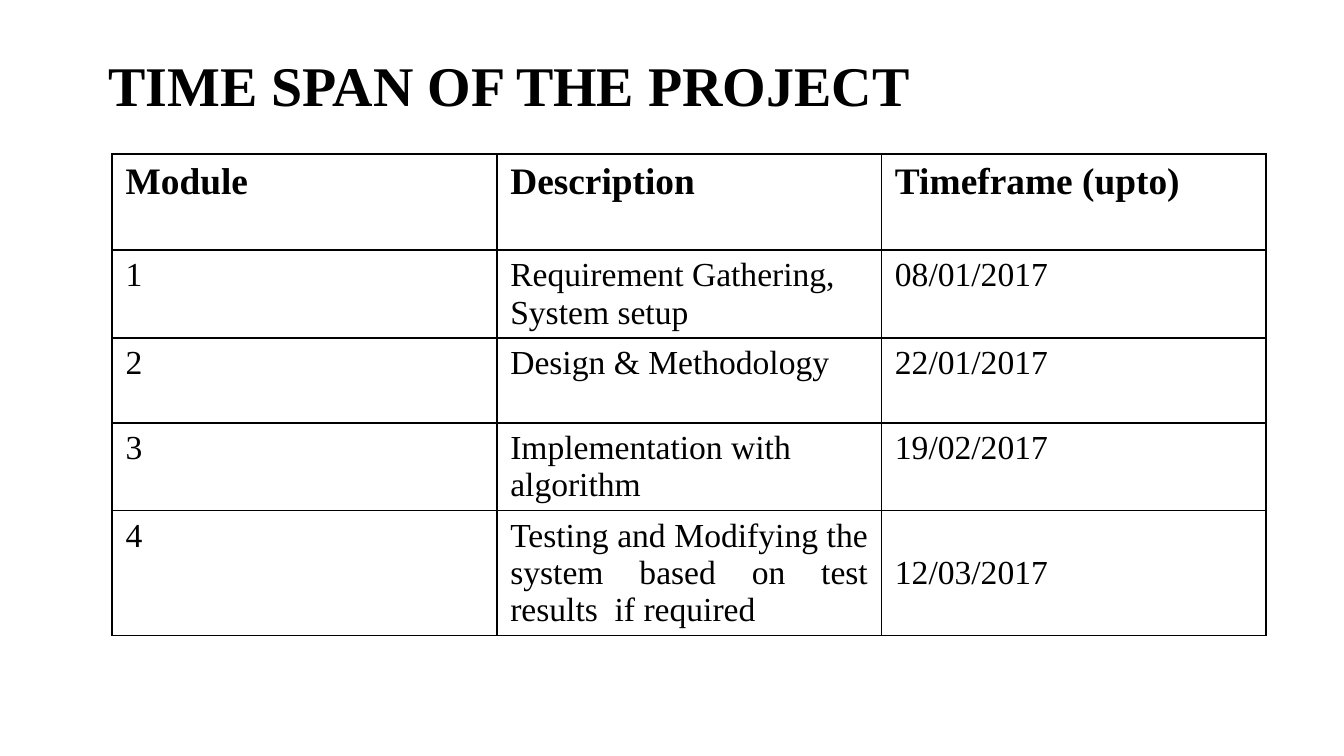
from lxml.etree import SubElement
from pptx import Presentation
from pptx.dml.color import RGBColor
from pptx.enum.text import MSO_ANCHOR, MSO_AUTO_SIZE, PP_ALIGN
from pptx.oxml.ns import qn
from pptx.util import Cm, Pt

BLACK = RGBColor(0x00, 0x00, 0x00)
WHITE = RGBColor(0xFF, 0xFF, 0xFF)
FONT = "Times New Roman"
TITLE_FONT = {"name": FONT, "size": Pt(30), "bold": True}
HEADER_FONT = {"name": FONT, "size": Pt(20), "bold": True}
BODY_FONT = {"name": FONT, "size": Pt(18), "bold": False}

COLUMN_WIDTH = Cm(7.27)
ROW_HEIGHTS = [Cm(1.82), Cm(1.66), Cm(1.6), Cm(1.66), Cm(2.36)]
ROWS = [
    ("Module", "Description", "Timeframe (upto)"),
    ("1", "Requirement Gathering,\nSystem setup", "08/01/2017"),
    ("2", "Design & Methodology", "22/01/2017"),
    ("3", "Implementation with algorithm", "19/02/2017"),
    ("4", "Testing and Modifying the system based on test results  if required",
     "12/03/2017"),
]
JUSTIFIED_CELLS = [(1, 1), (4, 1)]
MIDDLE_CELLS = [(4, 2)]


def set_values(target, values):
    """Set each attribute of target from a dict."""
    for name, value in values.items():
        setattr(target, name, value)


def write_text(text_frame, text, font, alignment=PP_ALIGN.LEFT):
    """Fill a text frame and format all its paragraphs."""
    text_frame.text = text
    for paragraph in text_frame.paragraphs:
        paragraph.alignment = alignment
        for run in paragraph.runs:
            set_values(run.font, font)
            run.font.color.rgb = BLACK


def add_title(slide, text):
    """Place and format the title placeholder."""
    title = slide.shapes.title
    set_values(title, {"left": Cm(1.8), "top": Cm(0.66),
                       "width": Cm(22.58), "height": Cm(1.85)})
    margins = {f"margin_{side}": Cm(0.25)
               for side in ("left", "top", "right", "bottom")}
    set_values(title.text_frame, {
        **margins, "word_wrap": True, "auto_size": MSO_AUTO_SIZE.NONE,
        "vertical_anchor": MSO_ANCHOR.MIDDLE})
    write_text(title.text_frame, text, TITLE_FONT)


def add_borders(cell):
    """Draw a thin black line on all sides of a cell."""
    properties = cell._tc.get_or_add_tcPr()
    for side in ("a:lnL", "a:lnR", "a:lnT", "a:lnB"):
        line = SubElement(properties, qn(side), w=str(Pt(1)))
        fill = SubElement(line, qn("a:solidFill"))
        SubElement(fill, qn("a:srgbClr"), val=str(BLACK))


def add_schedule(slide):
    """Add the table of modules and dates."""
    column_count = len(ROWS[0])
    table = slide.shapes.add_table(
        len(ROWS), column_count, Cm(2.12), Cm(2.91),
        COLUMN_WIDTH * column_count, sum(ROW_HEIGHTS)).table
    set_values(table, {"first_row": False, "horz_banding": False})
    for column in table.columns:
        column.width = COLUMN_WIDTH
    for row_index, values in enumerate(ROWS):
        table.rows[row_index].height = ROW_HEIGHTS[row_index]
        font = BODY_FONT if row_index else HEADER_FONT
        for column_index, text in enumerate(values):
            position = (row_index, column_index)
            cell = table.cell(*position)
            justified = position in JUSTIFIED_CELLS
            write_text(cell.text_frame, text, font,
                       PP_ALIGN.JUSTIFY if justified else PP_ALIGN.LEFT)
            middle = position in MIDDLE_CELLS
            cell.vertical_anchor = MSO_ANCHOR.MIDDLE if middle else MSO_ANCHOR.TOP
            add_borders(cell)
            cell.fill.background()


def main():
    """Build and save the presentation."""
    presentation = Presentation()
    set_values(presentation, {"slide_width": Cm(25.4), "slide_height": Cm(14.29)})
    slide = presentation.slides.add_slide(presentation.slide_layouts[5])
    slide.background.fill.solid()
    slide.background.fill.fore_color.rgb = WHITE
    add_title(slide, "TIME SPAN OF THE PROJECT")
    add_schedule(slide)
    presentation.save("out.pptx")


main()
